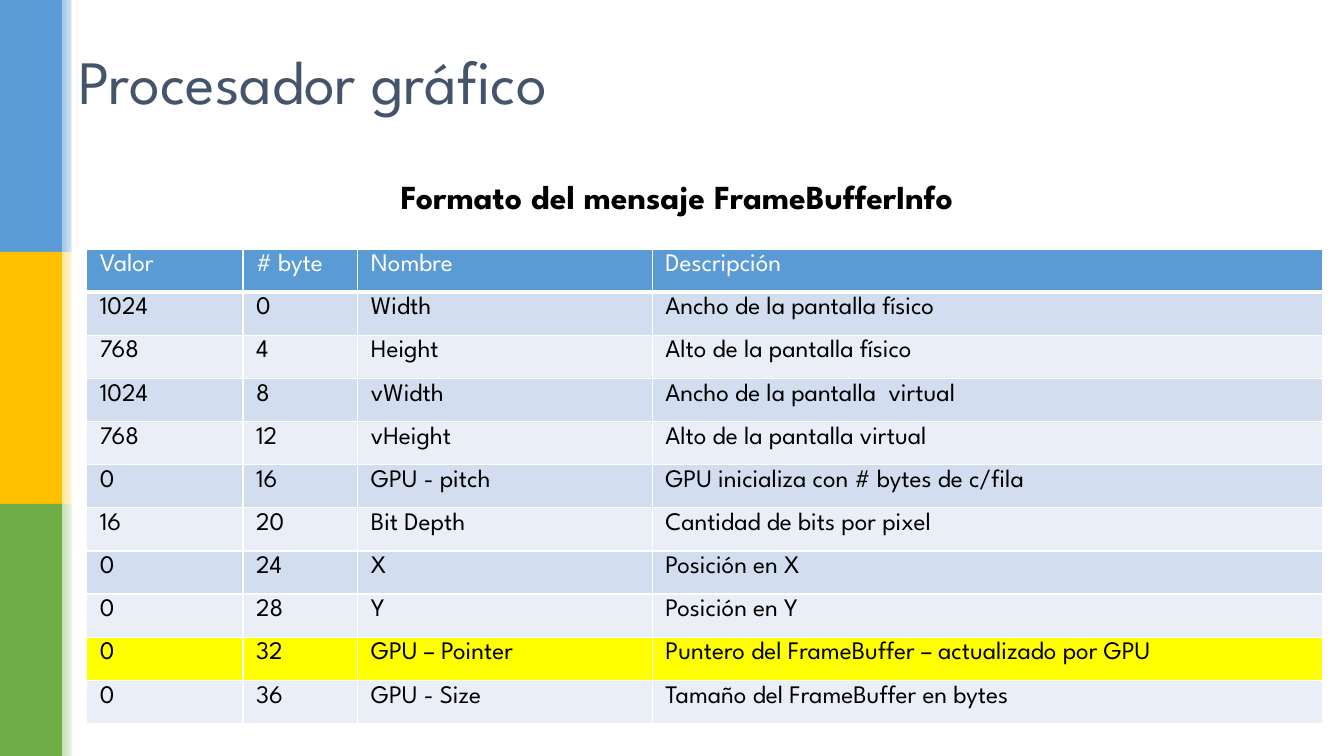
from lxml.etree import SubElement
from pptx import Presentation
from pptx.dml.color import RGBColor
from pptx.enum.shapes import MSO_SHAPE
from pptx.enum.text import MSO_ANCHOR, PP_ALIGN
from pptx.oxml.ns import qn
from pptx.util import Inches, Pt

WIDTH, HEIGHT = Inches(13.33), Inches(7.5)
FONT = "League Spartan"
WHITE = RGBColor(0xFF, 0xFF, 0xFF)
BLACK = RGBColor(0x00, 0x00, 0x00)
SLATE = RGBColor(0x44, 0x54, 0x6A)
BLUE = RGBColor(0x5B, 0x9B, 0xD5)
AMBER = RGBColor(0xFF, 0xC0, 0x00)
GREEN = RGBColor(0x70, 0xAD, 0x47)
PALE_BLUE = RGBColor(0x9D, 0xC3, 0xE6)
PALE_AMBER = RGBColor(0xFF, 0xE6, 0x99)
PALE_GREEN = RGBColor(0xC5, 0xE0, 0xB4)
DARK_BAND = RGBColor(0xD2, 0xDE, 0xEF)
LIGHT_BAND = RGBColor(0xEA, 0xEF, 0xF7)
YELLOW = RGBColor(0xFF, 0xFF, 0x00)

SIDE_COLORS = [(BLUE, PALE_BLUE), (AMBER, PALE_AMBER), (GREEN, PALE_GREEN)]
BAR_WIDTH, FADE_WIDTH = Inches(0.62), Inches(0.16)
COLUMN_WIDTHS = [1.55, 1.14, 2.92, 6.65]
ROW_HEIGHT = Inches(4.71 / 11)
HIGHLIGHTED_ROW = 9
ROWS = [
    ("Valor", "# byte", "Nombre", "Descripción"),
    ("1024", "0", "Width", "Ancho de la pantalla físico"),
    ("768", "4", "Height", "Alto de la pantalla físico"),
    ("1024", "8", "vWidth", "Ancho de la pantalla  virtual"),
    ("768", "12", "vHeight", "Alto de la pantalla virtual"),
    ("0", "16", "GPU - pitch", "GPU inicializa con # bytes de c/fila"),
    ("16", "20", "Bit Depth", "Cantidad de bits por pixel"),
    ("0", "24", "X", "Posición en X"),
    ("0", "28", "Y", "Posición en Y"),
    ("0", "32", "GPU – Pointer", "Puntero del FrameBuffer – actualizado por GPU"),
    ("0", "36", "GPU - Size", "Tamaño del FrameBuffer en bytes"),
]


def add_run(paragraph, text, size, color, bold=False):
    run = paragraph.add_run()
    run.text = text
    run.font.name = FONT
    run.font.size = Pt(size)
    run.font.bold = bold
    run.font.color.rgb = color


def add_bar(slide, left, top, width, height, color, fade_to=None):
    bar = slide.shapes.add_shape(MSO_SHAPE.RECTANGLE, left, top, width, height)
    bar.shadow.inherit = False
    bar.line.fill.background()
    if fade_to is None:
        bar.fill.solid()
        bar.fill.fore_color.rgb = color
        return
    bar.fill.gradient()
    bar.fill.gradient_angle = 0
    for stop, stop_color in zip(bar.fill.gradient_stops, (color, fade_to)):
        stop.color.rgb = stop_color


def add_side_band(slide):
    height = HEIGHT // len(SIDE_COLORS)
    for index, (color, pale) in enumerate(SIDE_COLORS):
        top = index * height
        add_bar(slide, 0, top, BAR_WIDTH, height, color)
        add_bar(slide, BAR_WIDTH, top, FADE_WIDTH, height, pale, WHITE)
    add_bar(slide, Inches(0.71), 0, Inches(0.05), HEIGHT, WHITE)


def add_text(slide, top, width, height, text, size, color,
             bold=False, align=PP_ALIGN.LEFT, anchor=MSO_ANCHOR.TOP):
    box = slide.shapes.add_textbox(Inches(0.68), Inches(top), Inches(width), Inches(height))
    frame = box.text_frame
    frame.word_wrap = True
    frame.vertical_anchor = anchor
    paragraph = frame.paragraphs[0]
    paragraph.alignment = align
    if size > 40:
        paragraph.line_spacing = 0.9
    add_run(paragraph, text, size, color, bold)


def add_borders(cell, widths):
    properties = cell._tc.get_or_add_tcPr()
    for side, width in widths.items():
        line = SubElement(properties, qn(f"a:ln{side}"), w=str(Pt(width)))
        fill = SubElement(line, qn("a:solidFill"))
        SubElement(fill, qn("a:srgbClr"), val=str(WHITE))


def row_fill(index):
    if index == 0:
        return BLUE
    if index == HIGHLIGHTED_ROW:
        return YELLOW
    return DARK_BAND if index % 2 else LIGHT_BAND


def fill_cell(cell, text, row_index):
    cell.margin_left = cell.margin_right = Inches(0.13)
    cell.margin_top = cell.margin_bottom = Inches(0.05)
    add_borders(cell, {"L": 1, "R": 1, "T": 3 if row_index == 1 else 1,
                       "B": 3 if row_index == 0 else 1})
    cell.fill.solid()
    cell.fill.fore_color.rgb = row_fill(row_index)
    color = BLACK if row_index else WHITE
    add_run(cell.text_frame.paragraphs[0], text, 18, color)


def add_message_table(slide):
    table = slide.shapes.add_table(
        len(ROWS), len(COLUMN_WIDTHS), Inches(0.86), Inches(2.47),
        Inches(sum(COLUMN_WIDTHS)), ROW_HEIGHT * len(ROWS)).table
    for column, width in zip(table.columns, COLUMN_WIDTHS):
        column.width = Inches(width)
    for row_index, values in enumerate(ROWS):
        table.rows[row_index].height = ROW_HEIGHT
        for column_index, text in enumerate(values):
            fill_cell(table.cell(row_index, column_index), text, row_index)


def main():
    presentation = Presentation()
    presentation.slide_width, presentation.slide_height = WIDTH, HEIGHT
    slide = presentation.slides.add_slide(presentation.slide_layouts[6])
    add_side_band(slide)
    add_text(slide, 0.21, 12, 1.25, "Procesador gráfico", 44, SLATE,
             anchor=MSO_ANCHOR.MIDDLE)
    add_message_table(slide)
    add_text(slide, 1.7, 12.07, 0.5, "Formato del mensaje FrameBufferInfo", 24, BLACK,
             bold=True, align=PP_ALIGN.CENTER)
    presentation.save("out.pptx")


main()
